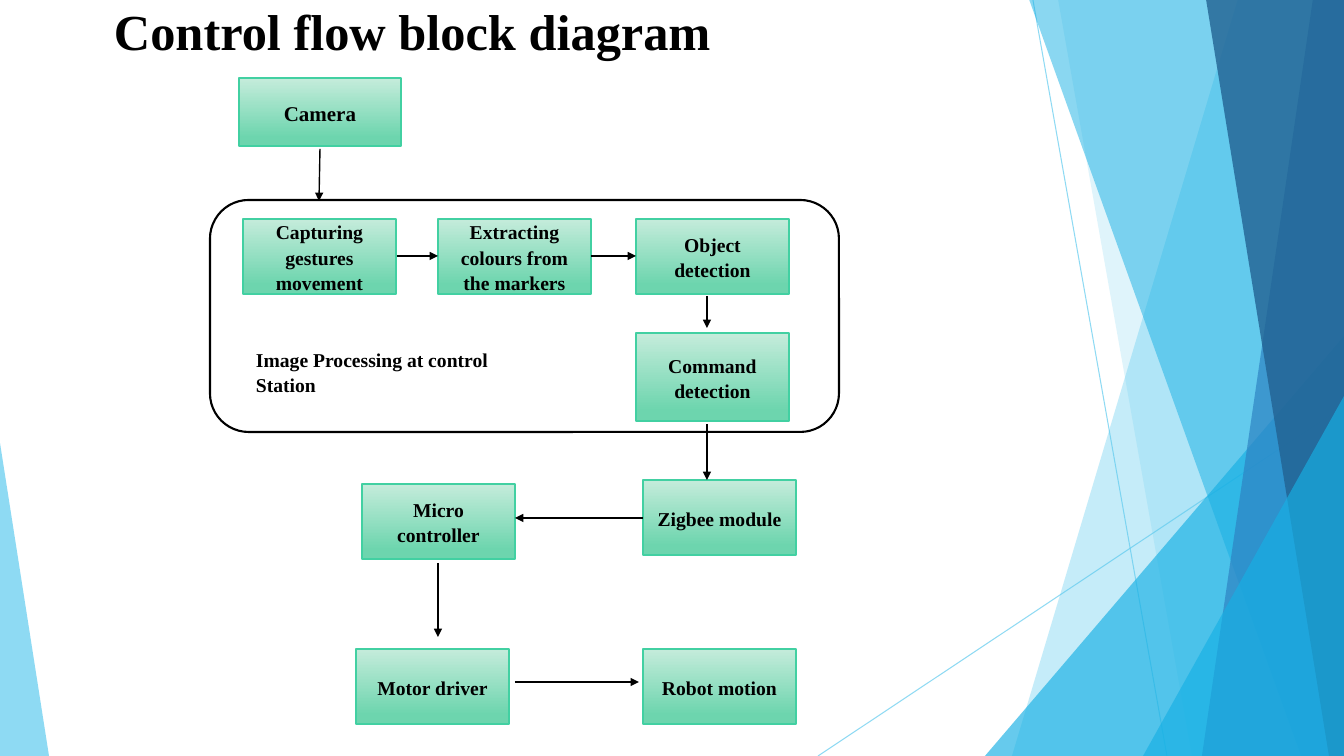
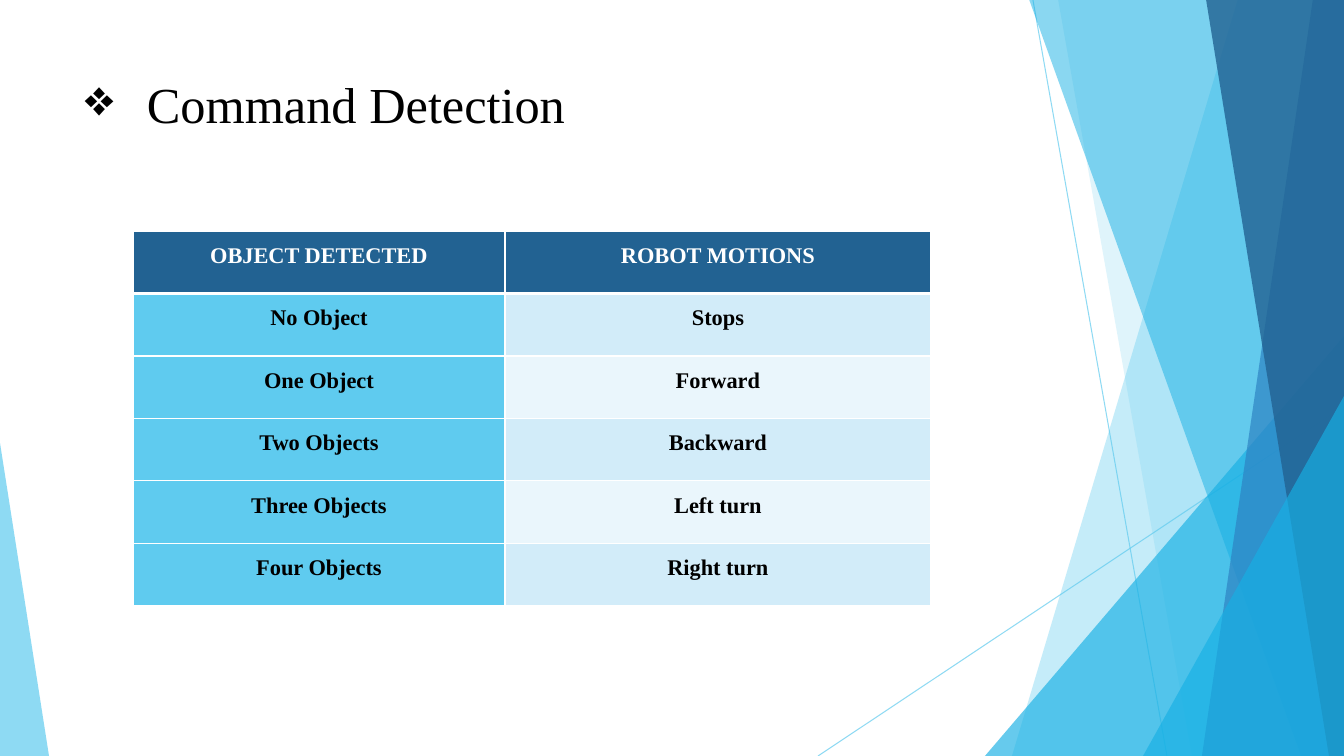
from dataclasses import dataclass

from lxml import etree
from pptx import Presentation
from pptx.dml.color import RGBColor
from pptx.enum.shapes import MSO_CONNECTOR, MSO_SHAPE
from pptx.enum.text import MSO_ANCHOR, PP_ALIGN
from pptx.oxml.ns import qn
from pptx.util import Emu, Pt

RECT, ROUNDED, TRIANGLE = MSO_SHAPE.RECTANGLE, MSO_SHAPE.ROUNDED_RECTANGLE, MSO_SHAPE.ISOSCELES_TRIANGLE
STRAIGHT = MSO_CONNECTOR.STRAIGHT
LEFT, CENTER = PP_ALIGN.LEFT, PP_ALIGN.CENTER
TOP, MIDDLE = MSO_ANCHOR.TOP, MSO_ANCHOR.MIDDLE


@dataclass(frozen=True)
class Theme:
    font: str = "Times New Roman"
    ink: str = "000000"
    paper: str = "FFFFFF"
    sky: str = "5FCBEF"
    cyan: str = "17B0E4"
    blue: str = "2E83C3"
    navy: str = "226292"
    bands: tuple = ("D2ECF9", "EAF6FC")
    block_gradient: tuple = ((0, "C5ECDB"), (0.88, "6DD5AE"))
    block_edge: str = "42D0A2"
    title_size: int = 36
    cell_size: int = 16
    camera_size: int = 15
    block_size: int = 14


THEME = Theme()
EMU_PER_PX = 914400 / 100.8
WIDTH, HEIGHT = 1344, 756

RAYS = [(1033, 0, 1167, HEIGHT), (WIDTH, 406, 818, HEIGHT)]
FACETS = [
    ("band", (1238, 1012), THEME.sky, 36),
    ("band", (1058, 1192), THEME.sky, 20),
    ("triangle", (985, 336, 359, 420, 1), THEME.cyan, 66),
    ("band", (1029, 1301), THEME.cyan, 50),
    ("band", (1313, 1202), THEME.blue, 70),
    ("band", (1206, 1329), THEME.navy, 80),
    ("triangle", (1143, 396, 201, 360, 1), THEME.cyan, 66),
    ("triangle", (0, 443, 49, 313, 0), THEME.sky, 70),
]

FLOW_TITLE = ("Control flow block diagram", (104, -5, 948, 87))
STATION = (210, 200, 629, 232)
STATION_LABEL = ("Image Processing at control Station", (246, 341, 310, 66))
CAMERA = ("Camera", (239, 78, 162, 68))
BLOCK_WIDTH, BLOCK_HEIGHT, COMMAND_HEIGHT = 153, 75, 88
BLOCKS = [
    ("Capturing gestures movement", 243, 219, BLOCK_HEIGHT),
    ("Extracting colours from the markers", 438, 219, BLOCK_HEIGHT),
    ("Object detection", 636, 219, BLOCK_HEIGHT),
    ("Command detection", 636, 333, COMMAND_HEIGHT),
    ("Micro controller", 362, 484, BLOCK_HEIGHT),
    ("Motor driver", 356, 649, BLOCK_HEIGHT),
    ("Robot motion", 643, 649, BLOCK_HEIGHT),
    ("Zigbee module", 643, 480, BLOCK_HEIGHT),
]
ARROWS = [
    (320, 149, 319, 201),
    (397, 256, 438, 256),
    (591, 256, 636, 256),
    (707, 296, 707, 328),
    (707, 424, 707, 480),
    (643, 518, 515, 518),
    (438, 563, 438, 637),
    (515, 682, 639, 682),
]

COMMAND_TITLE = ("Command Detection", (75, 68, 948, 145))
BULLET, BULLET_INDENT = "❖", 62
COMMANDS = [
    ("OBJECT DETECTED", "ROBOT MOTIONS"),
    ("No Object", "Stops"),
    ("One Object", "Forward"),
    ("Two Objects", "Backward"),
    ("Three Objects", "Left turn"),
    ("Four Objects", "Right turn"),
]
TABLE_LEFT, TABLE_TOP, TABLE_HEIGHT = 133, 231, 375
COLUMN_WIDTHS = (372, 426)
CELL_INSET = 7


def px(*lengths):
    return [Emu(round(length * EMU_PER_PX)) for length in lengths]


def rgb(color):
    return RGBColor.from_string(color)


def add_xml(parent, tag, **attributes):
    return etree.SubElement(parent, qn(tag), attributes)


def write(frame, text, size=THEME.block_size, color=THEME.ink, bold=True, align=LEFT,
          anchor=TOP, spacing=1.07, after=8, bullet=None):
    frame.word_wrap = True
    frame.vertical_anchor = anchor
    paragraph = frame.paragraphs[0]
    paragraph.alignment = align
    paragraph.line_spacing = spacing
    paragraph.space_after = Pt(after)
    run = paragraph.add_run()
    run.text = text
    run.font.name, run.font.size, run.font.bold = THEME.font, Pt(size), bold
    run.font.color.rgb = rgb(color)
    if bullet:
        properties = paragraph._p.get_or_add_pPr()
        indent = px(BULLET_INDENT)[0]
        properties.set("marL", str(indent))
        properties.set("indent", str(-indent))
        add_xml(properties, "a:buChar", char=bullet)


def set_opacity(element, percent):
    for color in element.spPr.iter(qn("a:srgbClr")):
        add_xml(color, "a:alpha", val=str(percent * 1000))


def paint(shape, fill, edge=None, edge_width=1):
    shape.shadow.inherit = False
    if isinstance(fill, tuple):
        shape.fill.gradient()
        shape.fill.gradient_angle = 270
        for stop, (position, color) in zip(shape.fill.gradient_stops, fill):
            stop.position, stop.color.rgb = position, rgb(color)
    else:
        shape.fill.solid()
        shape.fill.fore_color.rgb = rgb(fill)
    if edge:
        shape.line.color.rgb = rgb(edge)
        shape.line.width = Pt(edge_width)
    else:
        shape.line.fill.background()


def add_line(shapes, ends, color, width):
    line = shapes.add_connector(STRAIGHT, *px(*ends))
    line.line.color.rgb = rgb(color)
    line.line.width = Pt(width)
    add_xml(line._element.spPr, "a:effectLst")
    return line


def add_backdrop(slide):
    shapes = slide.shapes.add_group_shape().shapes
    for ends in RAYS:
        set_opacity(add_line(shapes, ends, THEME.sky, 0.75)._element, 70)
    for kind, geometry, color, opacity in FACETS:
        if kind == "band":
            top_x, bottom_x = geometry
            outline = shapes.build_freeform(top_x, -1, scale=EMU_PER_PX)
            outline.add_line_segments([(WIDTH, -1), (WIDTH, HEIGHT), (bottom_x, HEIGHT)])
            facet = outline.convert_to_shape()
        else:
            *box, apex = geometry
            facet = shapes.add_shape(TRIANGLE, *px(*box))
            facet.adjustments[0] = apex
        paint(facet, color)
        set_opacity(facet._element, opacity)


def add_slide(deck, title, bold=True, bullet=None):
    slide = deck.slides.add_slide(deck.slide_layouts[6])
    add_backdrop(slide)
    text, box = title
    frame = slide.shapes.add_textbox(*px(*box)).text_frame
    write(frame, text, size=THEME.title_size, bold=bold, spacing=1.0, after=0, bullet=bullet)
    return slide


def add_block(slide, text, box, size=THEME.block_size):
    block = slide.shapes.add_shape(RECT, *px(*box))
    paint(block, THEME.block_gradient, THEME.block_edge)
    write(block.text_frame, text, size=size, align=CENTER, anchor=MIDDLE)


def build_flow(deck):
    slide = add_slide(deck, FLOW_TITLE)
    station = slide.shapes.add_shape(ROUNDED, *px(*STATION))
    paint(station, THEME.paper, THEME.ink, 1.5)
    add_block(slide, *CAMERA, size=THEME.camera_size)
    for text, left, top, height in BLOCKS:
        add_block(slide, text, (left, top, BLOCK_WIDTH, height))
    text, box = STATION_LABEL
    label = slide.shapes.add_shape(RECT, *px(*box))
    paint(label, THEME.paper, THEME.paper, 0.5)
    write(label.text_frame, text)
    for ends in ARROWS:
        arrow = add_line(slide.shapes, ends, THEME.ink, 1)
        add_xml(arrow.line._get_or_add_ln(), "a:tailEnd", type="triangle")


def border(cell, widths):
    properties = cell._tc.get_or_add_tcPr()
    for side, width in zip("LRTB", widths):
        edge = add_xml(properties, f"a:ln{side}", w=str(Pt(width)))
        add_xml(add_xml(edge, "a:solidFill"), "a:srgbClr", val=THEME.paper)


def build_commands(deck):
    slide = add_slide(deck, COMMAND_TITLE, bold=False, bullet=BULLET)
    box = px(TABLE_LEFT, TABLE_TOP, sum(COLUMN_WIDTHS), TABLE_HEIGHT)
    table = slide.shapes.add_table(len(COMMANDS), len(COLUMN_WIDTHS), *box).table
    for column, width in zip(table.columns, px(*COLUMN_WIDTHS)):
        column.width = width
    for row, texts in enumerate(COMMANDS):
        header = row == 0
        fills = (THEME.navy,) * 2 if header else (THEME.sky, THEME.bands[(row - 1) % 2])
        for column, (text, fill) in enumerate(zip(texts, fills)):
            cell = table.cell(row, column)
            border(cell, (1, 1, 3 if row == 1 else 1, 3 if header else 1))
            cell.fill.solid()
            cell.fill.fore_color.rgb = rgb(fill)
            cell.margin_left, cell.margin_right = px(CELL_INSET, CELL_INSET)
            cell.margin_top = cell.margin_bottom = 0
            write(cell.text_frame, text, size=THEME.cell_size, align=CENTER, spacing=1.5,
                  color=THEME.paper if header else THEME.ink)


def main():
    deck = Presentation()
    deck.slide_width, deck.slide_height = px(WIDTH, HEIGHT)
    build_flow(deck)
    build_commands(deck)
    deck.save("out.pptx")


if __name__ == "__main__":
    main()
